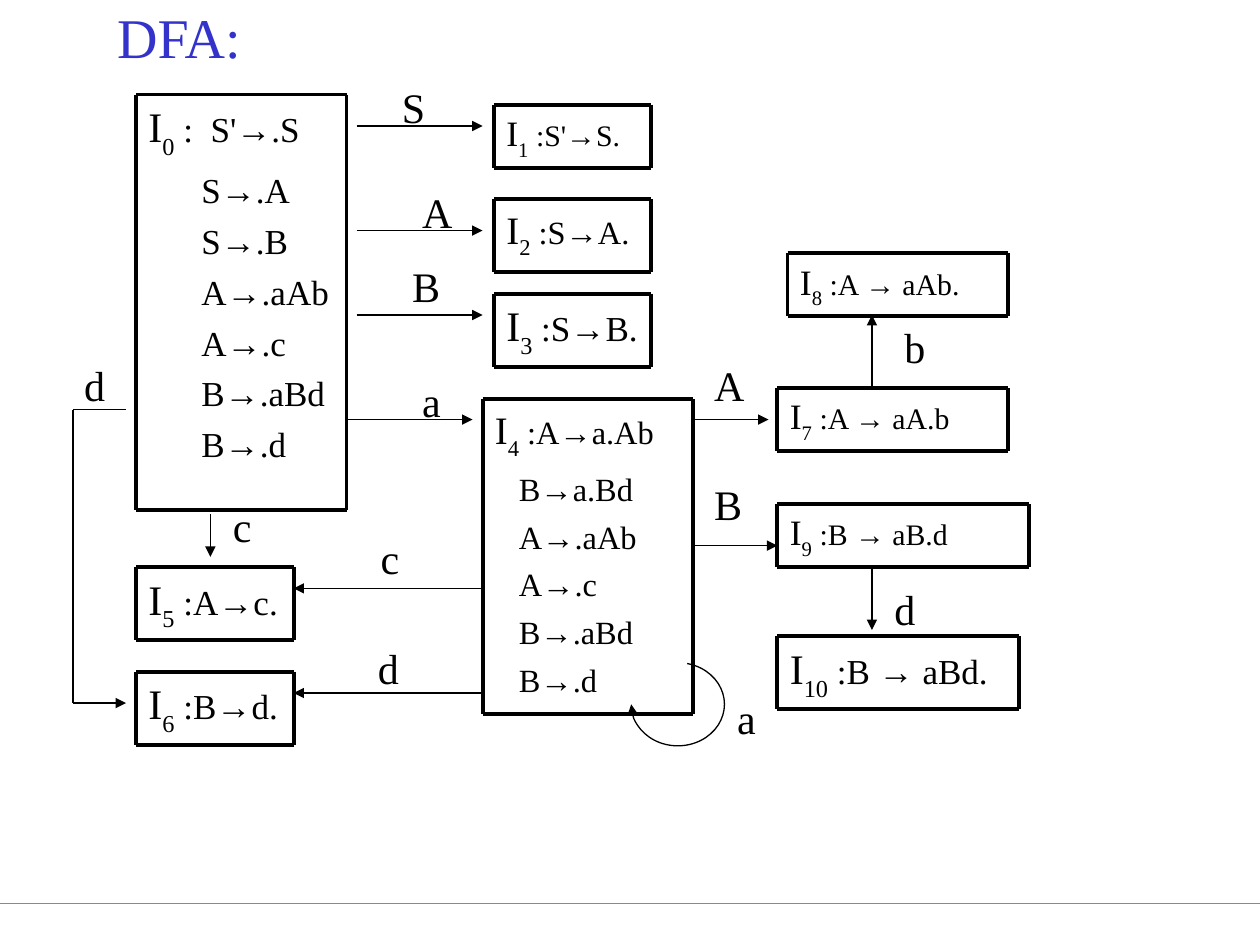
from lxml import etree
from pptx import Presentation
from pptx.dml.color import RGBColor
from pptx.enum.shapes import MSO_CONNECTOR, MSO_SHAPE
from pptx.enum.text import MSO_ANCHOR, PP_ALIGN
from pptx.oxml.ns import qn
from pptx.util import Inches, Pt

STRAIGHT = MSO_CONNECTOR.STRAIGHT
ARC = MSO_SHAPE.ARC
TOP, MIDDLE = MSO_ANCHOR.TOP, MSO_ANCHOR.MIDDLE
LEFT = PP_ALIGN.LEFT
FONT = "Times New Roman"
BLACK, BLUE, GREEN = "000000", "3333CC", "00CC99"

# State number, first item, further items, box, text size, item indent
STATES = [
    ("0", " :  S'→.S", ["S→.A", "S→.B", "A→.aAb", "A→.c", "B→.aBd", "B→.d"],
     (1.08, 0.75, 1.67, 3.3), 20, 0.42),
    ("1", " :S'→S.", [], (3.92, 0.83, 1.25, 0.5), 17, 0),
    ("2", " :S→A.", [], (3.92, 1.58, 1.25, 0.58), 18.5, 0),
    ("3", " :S→B.", [], (3.92, 2.33, 1.25, 0.58), 20, 0),
    ("4", " :A→a.Ab", ["B→a.Bd", "A→.aAb", "A→.c", "B→.aBd", "B→.d"],
     (3.83, 3.17, 1.67, 2.5), 18.5, 0.19),
    ("8", " :A → aAb.", [], (6.25, 2.01, 1.75, 0.5), 17, 0),
    ("7", " :A → aA.b", [], (6.17, 3.08, 1.83, 0.5), 17, 0),
    ("9", " :B → aB.d", [], (6.17, 4, 2, 0.5), 17, 0),
    ("10", " :B → aBd.", [], (6.17, 5.05, 1.92, 0.58), 20, 0),
    ("5", " :A→c.", [], (1.08, 4.5, 1.25, 0.58), 20, 0),
    ("6", " :B→d.", [], (1.08, 5.33, 1.25, 0.58), 20, 0),
]

# Start x, start y, end x, end y
ARROWS = [
    (2.83, 1, 3.83, 1), (2.83, 1.83, 3.83, 1.83), (2.83, 2.5, 3.83, 2.5),
    (2.75, 3.33, 3.75, 3.33), (5.51, 3.33, 6.1, 3.33), (5.5, 4.33, 6.17, 4.33),
    (6.92, 3.08, 6.92, 2.5), (6.92, 4.5, 6.92, 5), (1.67, 4.08, 1.67, 4.42),
    (3.83, 4.67, 2.33, 4.67), (3.83, 5.5, 2.33, 5.5),
]

# Symbol, left, top
WIDE_LABELS = [("A", 5.57, 2.8), ("B", 5.57, 3.75), ("d", 7, 4.58), ("b", 7.08, 2.5),
               ("c", 1.75, 3.92), ("d", 2.9, 5.05), ("d", 0.57, 2.8)]
TIGHT_LABELS = [("c", 3, 4.33), ("S", 3.17, 0.75), ("A", 3.33, 1.58),
                ("B", 3.25, 2.17), ("a", 3.33, 3.08), ("a", 5.83, 5.6)]


def color(hex_string):
    return RGBColor.from_string(hex_string)


def box_lengths(box):
    return [Inches(value) for value in box]


def format_font(font, size, hex_string=BLACK):
    font.name = FONT
    font.size = Pt(size)
    font.color.rgb = color(hex_string)


def set_margins(text_frame, horizontal, vertical):
    text_frame.margin_left = text_frame.margin_right = Inches(horizontal)
    text_frame.margin_top = text_frame.margin_bottom = Inches(vertical)


def add_arrowhead(shape):
    etree.SubElement(shape.line._get_or_add_ln(), qn("a:tailEnd"), type="triangle")


def add_line(slide, points, hex_string=BLACK, width=0.75, arrow=False):
    line = slide.shapes.add_connector(STRAIGHT, *box_lengths(points))
    line.line.color.rgb = color(hex_string)
    line.line.width = Pt(width)
    if arrow:
        add_arrowhead(line)
    etree.SubElement(line._element.spPr, qn("a:effectLst"))


def add_title(slide, box):
    title = slide.shapes.title
    title.left, title.top, title.width, title.height = box_lengths(box)
    text_frame = title.text_frame
    text_frame.text = "DFA:"
    text_frame.vertical_anchor = MIDDLE
    paragraph = text_frame.paragraphs[0]
    paragraph.alignment = LEFT
    format_font(paragraph.runs[0].font, 32, BLUE)


def add_frame(slide, left, top, width, height):
    """Four separate border lines around a state."""
    right, bottom = left + width, top + height
    for points in ((left, top, right, top), (left, bottom, right, bottom),
                   (left, top, left, bottom), (right, top, right, bottom)):
        add_line(slide, points, width=2.25)


def add_state(slide, number, first_item, items, box, size, indent):
    text_frame = slide.shapes.add_textbox(*box_lengths(box)).text_frame
    text_frame.word_wrap = True
    text_frame.vertical_anchor = TOP
    set_margins(text_frame, 0.1, 0.05)

    # State name with its subscript, then the first item
    heading = text_frame.paragraphs[0]
    for text, run_size in (("I", size * 1.2), (number, size * 1.2), (first_item, size)):
        run = heading.add_run()
        run.text = text
        format_font(run.font, run_size)
    heading.runs[1]._r.get_or_add_rPr().set("baseline", "-30000")

    # Further items, indented
    for item in items:
        paragraph = text_frame.add_paragraph()
        paragraph.text = item
        paragraph.space_before = Pt(5)
        paragraph._p.get_or_add_pPr().set("marL", str(Inches(indent)))
        format_font(paragraph.runs[0].font, size)

    add_frame(slide, *box)


def add_label(slide, symbol, box, margins):
    label = slide.shapes.add_textbox(*box_lengths(box))
    text_frame = label.text_frame
    text_frame.text = symbol
    text_frame.word_wrap = False
    text_frame.vertical_anchor = MIDDLE
    set_margins(text_frame, *margins)
    format_font(text_frame.paragraphs[0].runs[0].font, 24)


def add_detour(slide, left, top, width, height):
    """Path from state 0 around the left side to state 6."""
    right, bottom = left + width, top + height
    add_line(slide, (left, top, right, top))
    add_line(slide, (left, top, left, bottom))
    add_line(slide, (left, bottom, right, bottom), arrow=True)


def add_self_loop(slide, box):
    loop = slide.shapes.add_shape(ARC, *box_lengths(box))
    loop.shadow.inherit = False
    loop.fill.background()
    loop.line.color.rgb = color(BLACK)
    loop.line.width = Pt(0.75)
    # Angles are stored in 60000ths of a degree, adjustments in 100000ths
    for index, degrees in enumerate((283, 180)):
        loop.adjustments[index] = degrees * 0.6
    add_arrowhead(loop)


def main():
    presentation = Presentation()
    presentation.slide_width, presentation.slide_height = Inches(10), Inches(7.5)
    slide = presentation.slides.add_slide(presentation.slide_layouts[5])

    # Footer rule and title
    add_line(slide, (0, 7.17, 10, 7.17), GREEN)
    add_title(slide, (0.83, 0, 3.92, 0.58))

    # States and transitions
    for state in STATES:
        add_state(slide, *state)
    for points in ARROWS:
        add_line(slide, points, arrow=True)
    add_detour(slide, 0.58, 3.25, 0.42, 2.33)
    add_self_loop(slide, (5.01, 5.26, 0.74, 0.66))

    # Transition symbols
    for symbol, left, top in WIDE_LABELS:
        add_label(slide, symbol, (left, top, 0.4, 0.5), (0.1, 0.05))
    for symbol, left, top in TIGHT_LABELS:
        add_label(slide, symbol, (left, top, 0.19, 0.2), (0.02, 0))

    presentation.save("out.pptx")


if __name__ == "__main__":
    main()
